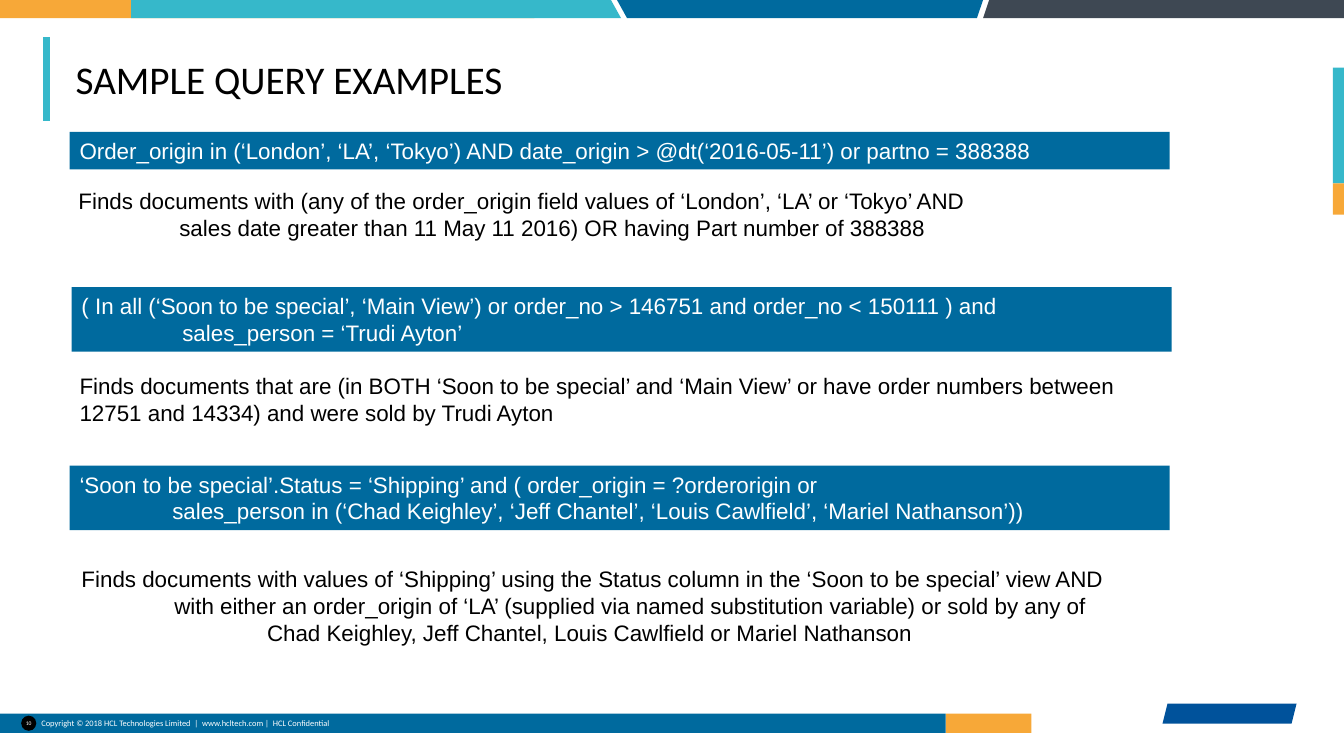
from lxml import etree
from pptx import Presentation
from pptx.dml.color import RGBColor
from pptx.enum.shapes import MSO_CONNECTOR, MSO_SHAPE
from pptx.enum.text import MSO_ANCHOR, MSO_AUTO_SIZE, PP_ALIGN
from pptx.oxml.ns import qn
from pptx.util import Inches, Pt

RECTANGLE, OVAL = MSO_SHAPE.RECTANGLE, MSO_SHAPE.OVAL
PARALLELOGRAM = MSO_SHAPE.PARALLELOGRAM
STRAIGHT = MSO_CONNECTOR.STRAIGHT
TOP, MIDDLE = MSO_ANCHOR.TOP, MSO_ANCHOR.MIDDLE
LEFT, CENTER = PP_ALIGN.LEFT, PP_ALIGN.CENTER
NO_AUTOFIT = MSO_AUTO_SIZE.NONE

BLUE = RGBColor(0x00, 0x6A, 0x9E)
LOGO_BLUE = RGBColor(0x00, 0x52, 0x9B)
TEAL = RGBColor(0x36, 0xB8, 0xCA)
ORANGE = RGBColor(0xF7, 0xA8, 0x38)
SLATE = RGBColor(0x3E, 0x48, 0x53)
BLACK = RGBColor(0x00, 0x00, 0x00)
WHITE = RGBColor(0xFF, 0xFF, 0xFF)

deck = Presentation()
deck.slide_width = Inches(13.33)
deck.slide_height = Inches(7.5)
page = deck.slides.add_slide(deck.slide_layouts[5])


def fill_plain(shape, color):
    shape.shadow.inherit = False
    shape.fill.solid()
    shape.fill.fore_color.rgb = color
    shape.line.fill.background()


def write_lines(shape, lines, size, font, color, anchor=TOP, align=LEFT, inset=(0.1, 0.05)):
    """Fill a shape with (text, left indent in inches) lines."""
    frame = shape.text_frame
    frame.auto_size = NO_AUTOFIT
    frame.word_wrap = True
    frame.vertical_anchor = anchor
    frame.margin_left = frame.margin_right = Inches(inset[0])
    frame.margin_top = frame.margin_bottom = Inches(inset[1])
    for number, (text, indent) in enumerate(lines):
        para = frame.add_paragraph() if number else frame.paragraphs[0]
        para.alignment = align
        if indent:
            properties = para._p.get_or_add_pPr()
            properties.set("marL", str(Inches(indent)))
            properties.set("indent", "0")
        span = para.add_run()
        span.text = text
        span.font.size = Pt(size)
        span.font.name = font
        span.font.color.rgb = color


# Slanted bands along the top edge: top left, top right, bottom right, bottom left
BAND_HEIGHT = 0.18
top_bands = [
    (0, 5.2, 5.3, 0, ORANGE),
    (1.3, 6.06, 6.16, 1.3, TEAL),
    (6.12, 9.75, 9.69, 6.22, BLUE),
    (9.81, 13.33, 13.33, 9.75, SLATE),
]
for top_left, top_right, bottom_right, bottom_left, color in top_bands:
    outline = page.shapes.build_freeform(Inches(top_left), 0)
    outline.add_line_segments([
        (Inches(top_right), 0),
        (Inches(bottom_right), Inches(BAND_HEIGHT)),
        (Inches(bottom_left), Inches(BAND_HEIGHT)),
    ], close=True)
    fill_plain(outline.convert_to_shape(), color)

# Side tabs, footer bars, page number dot and logo stand-in
plain_shapes = [
    (RECTANGLE, 13.22, 0.67, 0.11, 1.15, TEAL),
    (RECTANGLE, 13.22, 1.82, 0.11, 0.31, ORANGE),
    (RECTANGLE, 9.38, 7.08, 0.85, 0.19, ORANGE),
    (RECTANGLE, 0, 7.08, 9.38, 0.19, BLUE),
    (OVAL, 0.21, 7.1, 0.15, 0.15, BLACK),
    (PARALLELOGRAM, 11.53, 6.98, 1.33, 0.2, LOGO_BLUE),
]
for kind, left, top, width, height, color in plain_shapes:
    shape = page.shapes.add_shape(kind, Inches(left), Inches(top), Inches(width), Inches(height))
    fill_plain(shape, color)

copyright_box = page.shapes.add_textbox(Inches(0.41), Inches(7.08), Inches(3.31), Inches(0.19))
copyright_line = "Copyright © 2018 HCL Technologies Limited  |  www.hcltech.com |  HCL Confidential"
write_lines(copyright_box, [(copyright_line, 0)], 6, "Calibri", WHITE, MIDDLE, inset=(0, 0))

number_box = page.shapes.add_textbox(Inches(0.21), Inches(7.14), Inches(0.15), Inches(0.07))
write_lines(number_box, [("10", 0)], 4, "Calibri", WHITE, align=CENTER, inset=(0, 0))

# Title with its accent line
accent = page.shapes.add_connector(STRAIGHT, Inches(0.46), Inches(0.37), Inches(0.46), Inches(1.2))
accent.line.color.rgb = TEAL
accent.line.width = Pt(4.63)
etree.SubElement(accent._element.spPr, qn("a:effectLst"))

title = page.shapes.title
title.left, title.top = Inches(0.51), Inches(0.37)
title.width, title.height = Inches(12.37), Inches(0.83)
write_lines(title, [("SAMPLE QUERY EXAMPLES", 0.19)], 28, "Calibri", BLACK, MIDDLE,
            inset=(0.05, 0.05))

# Queries in blue bars, each followed by its explanation
BODY_WIDTH = 10.91
queries = [
    (0.69, 1.31, 0.37, [
        ("Order_origin in (‘London’, ‘LA’, ‘Tokyo’) AND date_origin > @dt(‘2016-05-11’) or partno = 388388", 0),
    ]),
    (0.71, 2.85, 0.64, [
        ("( In all (‘Soon to be special’, ‘Main View’) or order_no > 146751 and order_no < 150111 ) and", 0),
        ("sales_person = ‘Trudi Ayton’", 1),
    ]),
    (0.69, 4.62, 0.64, [
        ("‘Soon to be special’.Status = ‘Shipping’ and ( order_origin = ?orderorigin or", 0),
        ("sales_person in (‘Chad Keighley’, ‘Jeff Chantel’, ‘Louis Cawlfield’, ‘Mariel Nathanson’))", 0.92),
    ]),
]
explanations = [
    (0.68, 1.81, 0.64, [
        ("Finds documents with (any of the order_origin field values of ‘London’, ‘LA’ or ‘Tokyo’ AND", 0),
        ("sales date greater than 11 May 11 2016) OR having Part number of 388388", 1),
    ]),
    (0.69, 3.64, 0.64, [
        ("Finds documents that are (in BOTH ‘Soon to be special’ and ‘Main View’ or have order numbers "
         "between 12751 and 14334) and were sold by Trudi Ayton", 0),
    ]),
    (0.71, 5.56, 1.18, [
        ("Finds documents with values of ‘Shipping’ using the Status column in the ‘Soon to be special’ view AND", 0),
        ("with either an order_origin of ‘LA’ (supplied via named substitution variable) or sold by any of", 0.92),
        ("Chad Keighley, Jeff Chantel, Louis Cawlfield or Mariel Nathanson", 1.84),
    ]),
]
for query, explanation in zip(queries, explanations):
    left, top, height, lines = query
    bar = page.shapes.add_shape(RECTANGLE, Inches(left), Inches(top), Inches(BODY_WIDTH), Inches(height))
    fill_plain(bar, BLUE)
    write_lines(bar, lines, 16, "Arial", WHITE)

    left, top, height, lines = explanation
    box = page.shapes.add_textbox(Inches(left), Inches(top), Inches(BODY_WIDTH), Inches(height))
    write_lines(box, lines, 16, "Arial", BLACK)

deck.save("out.pptx")
